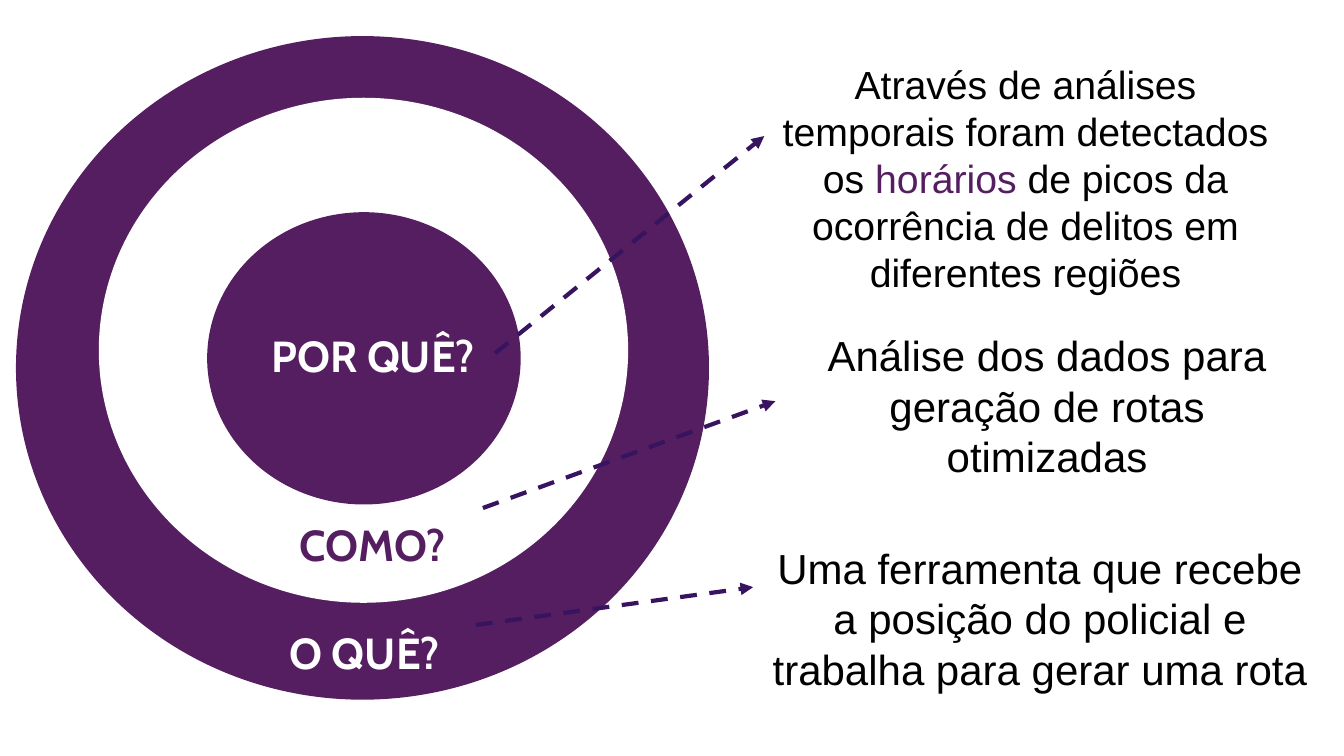
import pptx
import pptx.util
import pptx.dml.color
import pptx.enum.dml
import pptx.enum.shapes
import pptx.enum.text
import pptx.oxml.ns
import lxml.etree

PX = 9144
PURPLE = pptx.dml.color.RGBColor(0x55, 0x1E, 0x60)
INDIGO = pptx.dml.color.RGBColor(0x38, 0x14, 0x60)
WHITE = pptx.dml.color.RGBColor(0xFF, 0xFF, 0xFF)
BLACK = pptx.dml.color.RGBColor(0x00, 0x00, 0x00)


class Deck:
    body_font = "Arial"
    label_font = "Cabin"
    label_size = 31

    def __init__(self, width, height):
        self.prs = pptx.Presentation()
        self.prs.slide_width = width * PX
        self.prs.slide_height = height * PX
        self.s = self.prs.slides.add_slide(self.prs.slide_layouts[6])

    def circle(self, box, color, line_width=0):
        sp = self.s.shapes.add_shape(
            pptx.enum.shapes.MSO_SHAPE.OVAL, *[v * PX for v in box])
        sp.shadow.inherit = False
        sp.fill.solid()
        sp.fill.fore_color.rgb = color
        if line_width:
            sp.line.color.rgb = color
            sp.line.width = pptx.util.Pt(line_width)
        else:
            sp.line.fill.background()
        return sp

    def text(self, box, runs, size, font, bold=False, inset=10):
        sp = self.s.shapes.add_textbox(*[v * PX for v in box])
        tf = sp.text_frame
        tf.word_wrap = True
        tf.margin_left = tf.margin_right = inset * PX
        tf.margin_top = tf.margin_bottom = inset * PX
        p = tf.paragraphs[0]
        p.alignment = pptx.enum.text.PP_ALIGN.CENTER
        for words, color in runs:
            r = p.add_run()
            r.text = words
            r.font.name = font
            r.font.size = pptx.util.Pt(size)
            r.font.bold = bold
            r.font.color.rgb = color
        return sp

    def label(self, box, words, color):
        return self.text(box, [(words, color)], self.label_size,
                         self.label_font, bold=True)

    def body(self, box, runs, size=30, inset=10):
        return self.text(box, runs, size, self.body_font, inset=inset)

    def arrow(self, start, end, source=None, target=None):
        c = self.s.shapes.add_connector(
            pptx.enum.shapes.MSO_CONNECTOR.STRAIGHT,
            *[v * PX for v in start + end])
        if source is not None:
            c.begin_connect(source, 3)
        if target is not None:
            c.end_connect(target, 1)
        c.line.color.rgb = INDIGO
        c.line.width = pptx.util.Pt(3)
        c.line.dash_style = pptx.enum.dml.MSO_LINE.DASH
        qn = pptx.oxml.ns.qn
        ln = c.line._get_or_add_ln()
        lxml.etree.SubElement(ln, qn("a:tailEnd"), type="triangle")
        lxml.etree.SubElement(c._element.spPr, qn("a:effectLst"))
        return c


def main():
    deck = Deck(1333, 750)
    deck.circle((20, 40, 679, 650), PURPLE, 6)
    deck.circle((98, 97, 525, 501), WHITE)
    deck.circle((218, 223, 286, 265), PURPLE, 18)

    why = deck.label((249, 317, 242, 67), "POR QUÊ?", WHITE)
    deck.label((265, 504, 209, 67), "COMO?", PURPLE)
    deck.label((257, 611, 209, 67), "O QUÊ?", WHITE)

    deck.body((758, 50, 518, 106), [
        ("Através de análises temporais foram detectados os ", BLACK),
        ("horários", PURPLE),
        (" de picos da ocorrência de delitos em diferentes regiões", BLACK),
    ], size=28)
    routes = deck.body((769, 317, 539, 162), [
        ("Análise dos dados para geração de rotas otimizadas", BLACK)])
    tool = deck.body((747, 525, 569, 115), [
        ("Uma ferramenta que recebe a posição do policial e "
         "trabalha para gerar uma rota", BLACK)], inset=13)

    deck.arrow((472, 620), (747, 583), target=tool)
    deck.arrow((479, 504), (769, 398), target=routes)
    deck.arrow((491, 349), (758, 135), source=why)

    deck.prs.save("out.pptx")


if __name__ == "__main__":
    main()
